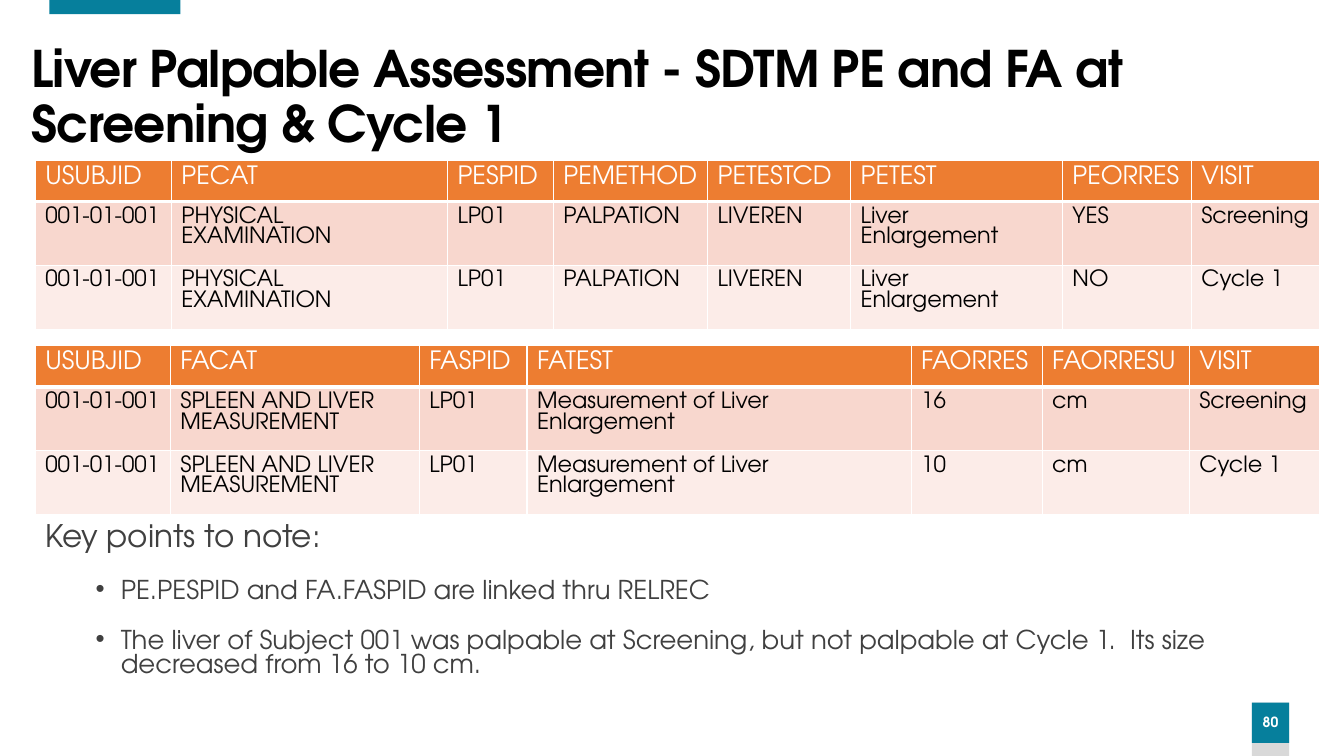
from dataclasses import dataclass

import lxml.etree
import pptx
import pptx.dml.color
import pptx.enum.shapes
import pptx.enum.text
import pptx.oxml.ns
import pptx.util

Pt = pptx.util.Pt
RGBColor = pptx.dml.color.RGBColor
Align = pptx.enum.text.PP_ALIGN
Anchor = pptx.enum.text.MSO_ANCHOR
qn = pptx.oxml.ns.qn

FONT = "TeX Gyre Adventor"
BULLET_FONT = "Arial"
TEAL = RGBColor(0x06, 0x7F, 0x9C)
LIGHT_GREY = RGBColor(0xD9, 0xD9, 0xD9)
DARK_GREY = RGBColor(0x40, 0x40, 0x40)
BLACK = RGBColor(0, 0, 0)
WHITE = RGBColor(0xFF, 0xFF, 0xFF)
ORANGE = RGBColor(0xED, 0x7D, 0x31)
BANDS = (RGBColor(0xF8, 0xD7, 0xCE), RGBColor(0xFC, 0xEC, 0xE8))

TABLE_LEFT = 25.2
HEADER_HEIGHT = 29.2


@dataclass
class Bar:
    left: float
    top: float
    width: float
    height: float
    color: RGBColor


@dataclass
class Domain:
    """One SDTM domain table."""
    top: float
    widths: tuple[float, ...]
    row_heights: tuple[float, ...]
    rows: tuple[tuple[str, ...], ...]


GREY_TAB = Bar(894.24, 501.84, 26.64, 38.16, LIGHT_GREY)
NUMBER_TAB = Bar(894.24, 501.84, 26.64, 28.8, TEAL)
TOP_TAB = Bar(35.28, 0, 93.6, 10.08, TEAL)

EXAM = ("001-01-001", "PHYSICAL EXAMINATION", "LP01", "PALPATION", "LIVEREN",
        "Liver Enlargement")
FINDING = ("001-01-001", "SPLEEN AND LIVER MEASUREMENT", "LP01",
           "Measurement of Liver Enlargement")
DOMAINS = (
    Domain(
        114.8, (97.2, 197.28, 75.6, 110.16, 102.24, 151.2, 92.16, 91.44),
        (HEADER_HEIGHT, 36.6, 36.6),
        (("USUBJID", "PECAT", "PESPID", "PEMETHOD", "PETESTCD", "PETEST",
          "PEORRES", "VISIT"),
         EXAM + ("YES", "Screening"),
         EXAM + ("NO", "Cycle 1"))),
    Domain(
        247, (96.48, 177.84, 77.04, 274.32, 93.6, 105.12, 92.88),
        (HEADER_HEIGHT, 36.6, 45.36),
        (("USUBJID", "FACAT", "FASPID", "FATEST", "FAORRES", "FAORRESU",
          "VISIT"),
         FINDING + ("16", "cm", "Screening"),
         FINDING + ("10", "cm", "Cycle 1"))),
)

KEY_POINTS = (
    "PE.PESPID and FA.FASPID are linked thru RELREC",
    "The liver of Subject 001 was palpable at Screening, but not palpable "
    "at Cycle 1.  Its size decreased from 16 to 10 cm.",
)


def write(frame, text: str, *, size: float, color: RGBColor,
          bold: bool = False, line: float = 1.0, before: float = 0,
          after: float = 0, align=Align.LEFT, tracking: float = 0,
          bullet: bool = False) -> None:
    """Fill the first paragraph of a frame, or add one if it has text."""
    first = frame.paragraphs[0]
    para = frame.add_paragraph() if first.runs else first
    if bullet:
        properties = para._p.get_or_add_pPr()
        properties.set("marL", str(Pt(54)))
        properties.set("indent", str(Pt(-18)))
        font = lxml.etree.SubElement(properties, qn("a:buFont"))
        font.set("typeface", BULLET_FONT)
        lxml.etree.SubElement(properties, qn("a:buChar")).set("char", "•")
    para.alignment = align
    para.line_spacing = line
    para.space_before = Pt(before)
    para.space_after = Pt(after)
    span = para.add_run()
    span.text = text
    span.font.name = FONT
    span.font.size = Pt(size)
    span.font.bold = bold
    span.font.color.rgb = color
    if tracking:
        span._r.get_or_add_rPr().set("spc", str(round(tracking * 100)))


def add_bar(page, bar: Bar):
    shape = page.shapes.add_shape(
        pptx.enum.shapes.MSO_SHAPE.RECTANGLE,
        Pt(bar.left), Pt(bar.top), Pt(bar.width), Pt(bar.height))
    shape.shadow.inherit = False
    shape.fill.solid()
    shape.fill.fore_color.rgb = bar.color
    shape.line.fill.background()
    return shape


def add_box(page, left: float, top: float, width: float, height: float,
            anchor=Anchor.TOP):
    box = page.shapes.add_textbox(Pt(left), Pt(top), Pt(width), Pt(height))
    box.text_frame.word_wrap = True
    box.text_frame.vertical_anchor = anchor
    return box.text_frame


def add_borders(cell, bottom: float) -> None:
    properties = cell._tc.get_or_add_tcPr()
    for side, width in (("L", 1), ("R", 1), ("T", 1), ("B", bottom)):
        edge = lxml.etree.SubElement(properties, qn(f"a:ln{side}"))
        edge.set("w", str(Pt(width)))
        fill = lxml.etree.SubElement(edge, qn("a:solidFill"))
        lxml.etree.SubElement(fill, qn("a:srgbClr")).set("val", str(WHITE))


def add_domain(page, domain: Domain) -> None:
    table = page.shapes.add_table(
        len(domain.rows), len(domain.widths), Pt(TABLE_LEFT), Pt(domain.top),
        Pt(sum(domain.widths)), Pt(sum(domain.row_heights))).table
    for column, width in zip(table.columns, domain.widths):
        column.width = Pt(width)
    for index, values in enumerate(domain.rows):
        table.rows[index].height = Pt(domain.row_heights[index])
        header = index == 0
        for column_index, value in enumerate(values):
            cell = table.cell(index, column_index)
            add_borders(cell, bottom=3 if header else 1)
            cell.fill.solid()
            cell.fill.fore_color.rgb = ORANGE if header else BANDS[index - 1]
            write(cell.text_frame, value, size=18 if header else 16,
                  color=WHITE if header else BLACK)


def main() -> None:
    deck = pptx.Presentation()
    deck.slide_width, deck.slide_height = Pt(960), Pt(540)
    page = deck.slides.add_slide(deck.slide_layouts[6])

    # Page number and top accent
    add_bar(page, GREY_TAB)
    number = add_bar(page, NUMBER_TAB).text_frame
    number.margin_left = number.margin_right = 0
    number.vertical_anchor = Anchor.MIDDLE
    write(number, "80", size=10, color=WHITE, bold=True, line=0.9,
          align=Align.CENTER)
    add_bar(page, TOP_TAB)

    # Title
    title = add_box(page, 15.4, 15.4, 806.4, 110.16, Anchor.MIDDLE)
    write(title,
          "Liver Palpable Assessment - SDTM PE and FA at Screening & Cycle 1",
          size=36, color=BLACK, bold=True, line=0.9, tracking=-0.6)

    # Key points
    notes = add_box(page, 25.2, 370.8, 917.28, 132.48)
    write(notes, "Key points to note:", size=22.2, color=DARK_GREY, line=0.8,
          after=12)
    for point in KEY_POINTS:
        write(notes, point, size=18.5, color=DARK_GREY, line=0.8, before=6,
              after=12, bullet=True)

    # Domain tables
    for domain in DOMAINS:
        add_domain(page, domain)

    deck.save("out.pptx")


if __name__ == "__main__":
    main()
